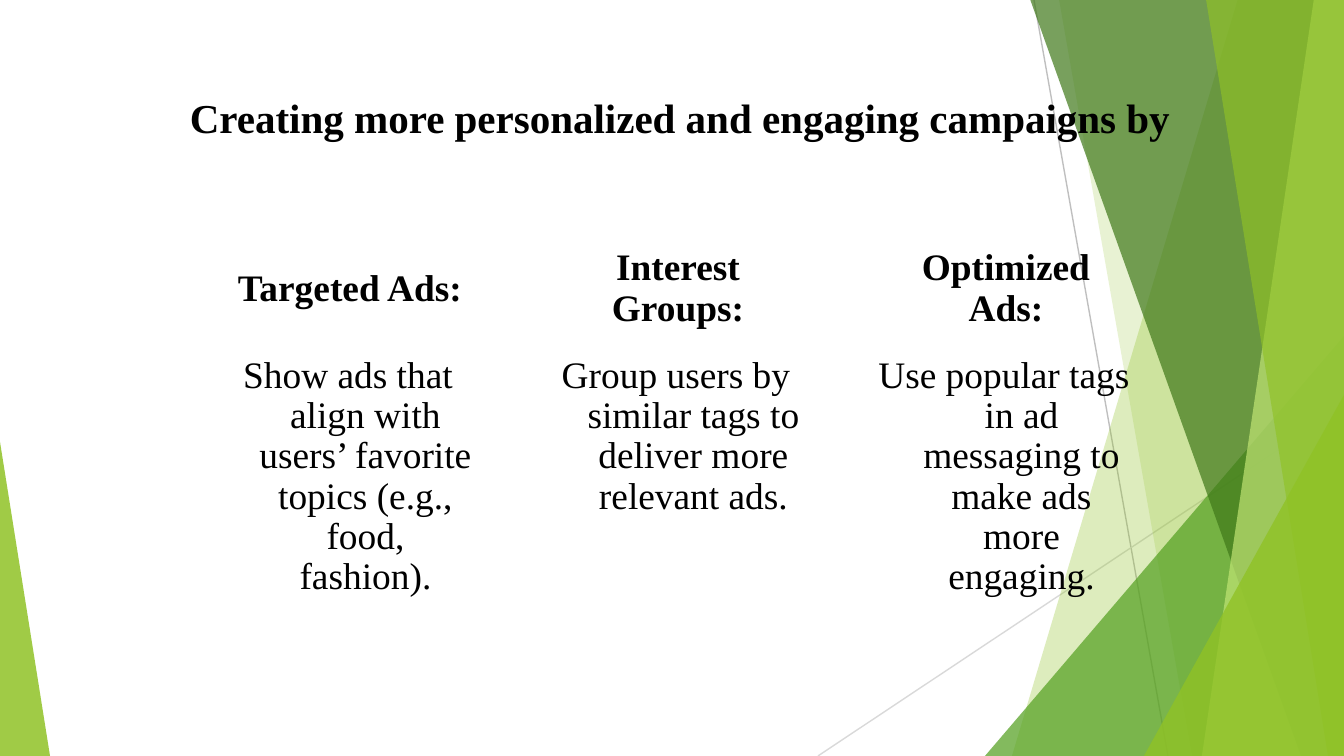
import pptx
import pptx.util
import pptx.dml.color
import pptx.enum.shapes
import pptx.enum.text
import pptx.oxml.ns
import lxml.etree

RGB = pptx.dml.color.RGBColor
LIME = RGB(0x90, 0xC2, 0x26)
GREEN = RGB(0x54, 0xA0, 0x21)
DARK = RGB(0x3F, 0x78, 0x19)
PALE = RGB(0xC0, 0xE4, 0x74)
GRAY = RGB(0xBF, 0xBF, 0xBF)
SILVER = RGB(0xD9, 0xD9, 0xD9)
BLACK = RGB(0, 0, 0)

FONT = "Times New Roman"
WIDE, HIGH = 1344, 756
UNIT = 914400 / 134.4

TITLE = "Creating more personalized and engaging campaigns by"
CARDS = [
    ("Targeted Ads:", "Show ads that align with users’ favorite topics (e.g., food, fashion)."),
    ("Interest Groups:", "Group users by similar tags to deliver more relevant ads."),
    ("Optimized Ads:", "Use popular tags in ad messaging to make ads more engaging."),
]
LINES = [
    (1034, 0, 1168, HIGH, GRAY),
    (WIDE, 406, 818, HIGH, SILVER),
]
DECOR = [
    ("band", (1238, 1012), LIME, 30),
    ("band", (1059, 1192), LIME, 20),
    ("peak", (985, 336, 359, 420, 1), GREEN, 72),
    ("band", (1030, 1301), DARK, 70),
    ("band", (1314, 1202), PALE, 70),
    ("band", (1206, 1328), LIME, 65),
    ("peak", (1144, 395, 200, 361, 1), LIME, 80),
    ("peak", (0, 442, 50, 314, 0), LIME, 85),
]
LEFT, STEP, WIDTH = 206, 328, 288
TOP, HEAD, BODY = 238, 102, 274


def px(size):
    return round(size * UNIT)


def sub(node, tag, **attrs):
    return lxml.etree.SubElement(node, pptx.oxml.ns.qn(tag), **attrs)


def paint(shape, color, alpha):
    shape.shadow.inherit = False
    shape.line.fill.background()
    shape.fill.solid()
    shape.fill.fore_color.rgb = color
    tint = shape.fill._xPr.find(".//" + pptx.oxml.ns.qn("a:srgbClr"))
    sub(tint, "a:alpha", val=str(alpha * 1000))


def band(shapes, top, bottom):
    pen = shapes.build_freeform(top, -1, scale=UNIT)
    pen.add_line_segments([(WIDE, -1), (WIDE, HIGH), (bottom, HIGH)], close=True)
    return pen.convert_to_shape()


def peak(shapes, x, y, w, h, tip):
    kind = pptx.enum.shapes.MSO_SHAPE.ISOSCELES_TRIANGLE
    shape = shapes.add_shape(kind, px(x), px(y), px(w), px(h))
    shape.adjustments[0] = tip
    return shape


def rule(shapes, x1, y1, x2, y2, color):
    kind = pptx.enum.shapes.MSO_CONNECTOR.STRAIGHT
    line = shapes.add_connector(kind, px(x1), px(y1), px(x2), px(y2))
    line.line.color.rgb = color
    line.line.width = pptx.util.Pt(0.75)
    sub(line._element.spPr, "a:effectLst")


def write(shape, text, box, size=20, bold=False, anchor="TOP", pad=(13, 13, 13, 13),
          left=0, hang=0, space=1.0):
    shape.left, shape.top, shape.width, shape.height = map(px, box)
    frame = shape.text_frame
    frame.word_wrap = True
    frame.auto_size = pptx.enum.text.MSO_AUTO_SIZE.NONE
    frame.vertical_anchor = pptx.enum.text.MSO_ANCHOR[anchor]
    frame.margin_left, frame.margin_top, frame.margin_right, frame.margin_bottom = map(px, pad)
    para = frame.paragraphs[0]
    para.alignment = pptx.enum.text.PP_ALIGN.CENTER
    para.line_spacing = space
    para.space_before = pptx.util.Pt(0)
    props = para._p.get_or_add_pPr()
    props.set("marL", str(px(left)))
    props.set("indent", str(px(hang)))
    run = para.add_run()
    run.text = text
    run.font.name = FONT
    run.font.size = pptx.util.Pt(size)
    run.font.bold = bold
    run.font.color.rgb = BLACK


def main():
    deck = pptx.Presentation()
    deck.slide_width, deck.slide_height = px(WIDE), px(HIGH)
    slide = deck.slides.add_slide(deck.slide_layouts[5])
    shapes = slide.shapes
    title = shapes.title

    for line in LINES:
        rule(shapes, *line)
    draw = {"band": band, "peak": peak}
    for kind, place, color, alpha in DECOR:
        paint(draw[kind](shapes, *place), color, alpha)

    shapes._spTree.append(title._element)
    write(title, TITLE, (46, 79, 1252, 118), size=22, bold=True, left=16)

    for i, (head, body) in enumerate(CARDS):
        x = LEFT + i * STEP
        write(shapes.add_textbox(0, 0, 0, 0), head, (x, TOP, WIDTH, HEAD),
              bold=True, anchor="MIDDLE", pad=(22, 12, 22, 12), space=0.9)
        write(shapes.add_textbox(0, 0, 0, 0), body, (x, TOP + HEAD, WIDTH, BODY),
              pad=(16, 16, 20, 23), left=35, hang=-35, space=0.9)

    deck.save("out.pptx")


if __name__ == "__main__":
    main()
